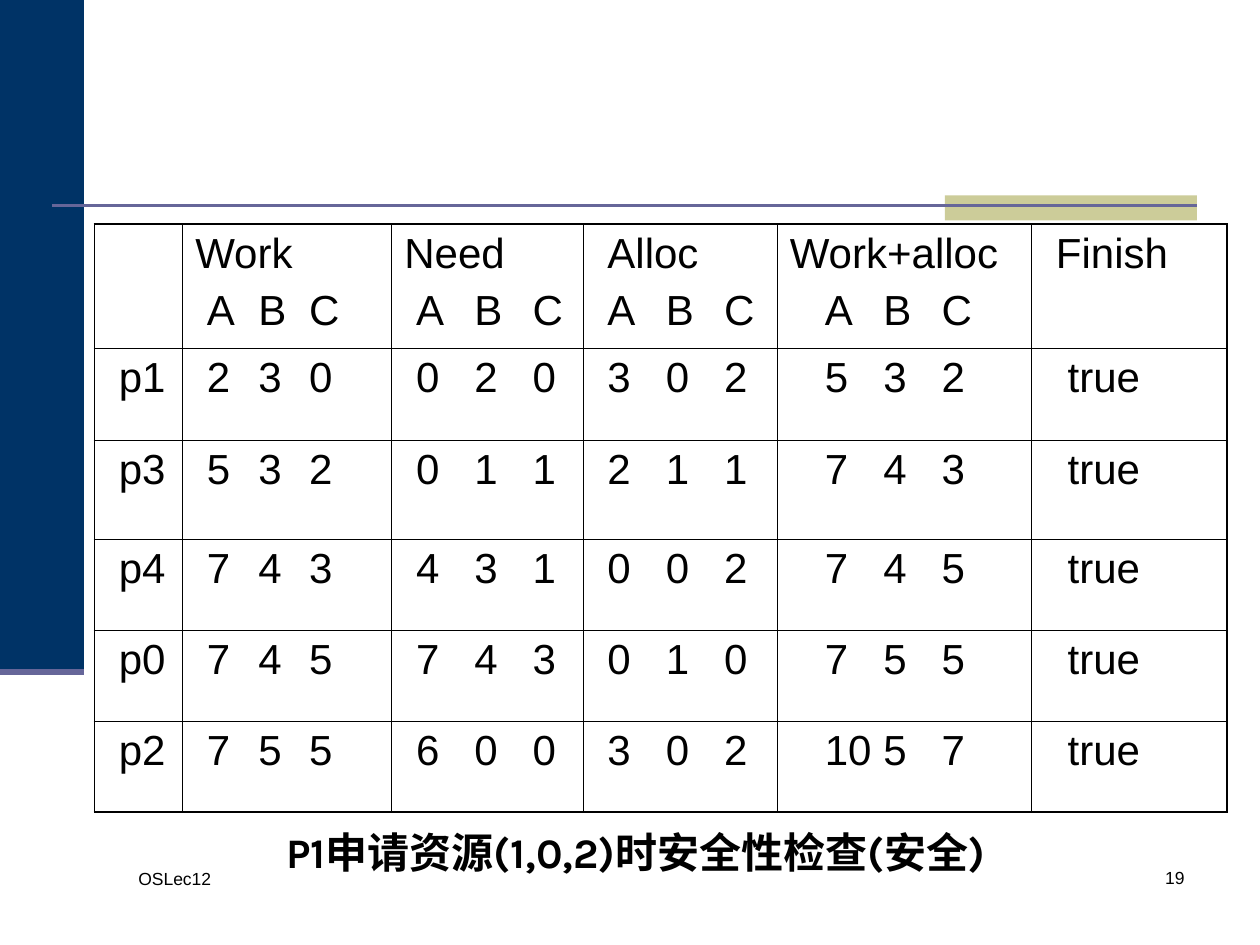
import pptx
import pptx.util
import pptx.dml.color
import pptx.enum.shapes
import pptx.enum.text
from lxml import etree
from pptx.oxml.ns import qn

Pt = pptx.util.Pt
Align = pptx.enum.text.PP_ALIGN

BLACK, NAVY, VIOLET, SAND = "000000", "003366", "666699", "CCCC99"
THIN, THICK = 0.45, 1.08
COLUMN_WIDTHS = [50.4, 119.5, 109.4, 110.9, 145.4, 111.6]
ROW_HEIGHTS = [71, 52.4, 56.8, 52, 52, 52]
HEADINGS = ["", "Work", "Need", "Alloc", "Work+alloc", "Finish"]
HEADING_INDENTS = [0, 0, 0, 6.67, 0, 6.67]
VALUE_INDENTS = [6.67, 0, 0, 0, 0, 13.34]
VALUE_STOPS = [[], [6.67, 36, 65], [6.67, 40, 73.3], [6.67, 40, 73.3], [20, 53.4, 86.7], []]
SAFETY_STEPS = [
    ("p1", "230", "020", "302", "532"),
    ("p3", "532", "011", "211", "743"),
    ("p4", "743", "431", "002", "745"),
    ("p0", "745", "743", "010", "755"),
    ("p2", "755", "600", "302", ("10", "5", "7")),
]


def rgb(hex_color):
    """Return the colour for a hex string."""
    return pptx.dml.color.RGBColor.from_string(hex_color)


def style(paragraph, size, font="Arial", bold=False):
    """Format the runs of a paragraph in black."""
    for run in paragraph.runs:
        run.font.size = Pt(size)
        run.font.name = font
        run.font.bold = bold
        run.font.color.rgb = rgb(BLACK)


def add_block(slide, left, top, width, height, color):
    """Add a plain filled rectangle."""
    block = slide.shapes.add_shape(
        pptx.enum.shapes.MSO_SHAPE.RECTANGLE, Pt(left), Pt(top), Pt(width), Pt(height))
    block.shadow.inherit = False
    block.fill.solid()
    block.fill.fore_color.rgb = rgb(color)
    block.line.fill.background()


def add_rule(slide, left, right, y, weight):
    """Add a horizontal rule without a shadow."""
    rule = slide.shapes.add_connector(
        pptx.enum.shapes.MSO_CONNECTOR.STRAIGHT, Pt(left), Pt(y), Pt(right), Pt(y))
    rule.line.color.rgb = rgb(VIOLET)
    rule.line.width = Pt(weight)
    etree.SubElement(rule._element.spPr, qn("a:effectLst"))


def add_footer(slide, left, top, width, text, align):
    """Add a small footer text."""
    footer = slide.shapes.add_textbox(Pt(left), Pt(top), Pt(width), Pt(36)).text_frame
    footer.word_wrap = True
    footer.text = text
    footer.paragraphs[0].alignment = align
    style(footer.paragraphs[0], 10)


def add_caption(slide, text):
    """Place the slide title as the caption under the table."""
    title = slide.shapes.title
    title.left, title.top, title.width, title.height = Pt(136.8), Pt(468.7), Pt(452.9), Pt(36)
    caption = title.text_frame
    caption.text = text
    caption.word_wrap = False
    caption.auto_size = pptx.enum.text.MSO_AUTO_SIZE.NONE
    caption.vertical_anchor = pptx.enum.text.MSO_ANCHOR.TOP
    caption.paragraphs[0].alignment = Align.CENTER
    style(caption.paragraphs[0], 24, "Karla", True)


def set_borders(cell, weights):
    """Draw the left, right, top and bottom borders of a cell."""
    properties = cell._tc.get_or_add_tcPr()
    for side, weight in zip("LRTB", weights):
        border = etree.SubElement(properties, qn(f"a:ln{side}"), w=str(int(Pt(weight))))
        fill = etree.SubElement(border, qn("a:solidFill"))
        etree.SubElement(fill, qn("a:srgbClr"), val=BLACK)


def write_word(paragraph, word, indent):
    """Write a word with a left indent."""
    paragraph.text = word
    paragraph._p.get_or_add_pPr().set("marL", str(int(Pt(indent))))
    style(paragraph, 24)


def write_triple(paragraph, values, stops):
    """Write the A, B and C entries at tab stops."""
    paragraph.text = "".join(f"\t{value}" for value in values)
    tabs = etree.SubElement(paragraph._p.get_or_add_pPr(), qn("a:tabLst"))
    for stop in stops:
        etree.SubElement(tabs, qn("a:tab"), pos=str(int(Pt(stop))), algn="l")
    style(paragraph, 24)


def fill_cell(cell, row, column):
    """Write the heading or the value that belongs in a cell."""
    first = cell.text_frame.paragraphs[0]
    stops = VALUE_STOPS[column]
    if row == 0:
        write_word(first, HEADINGS[column], HEADING_INDENTS[column])
        if stops:
            resources = cell.text_frame.add_paragraph()
            write_triple(resources, "ABC", stops)
            resources.space_before = Pt(6)
        return
    value = (*SAFETY_STEPS[row - 1], "true")[column]
    if stops:
        write_triple(first, value, stops)
    else:
        write_word(first, value, VALUE_INDENTS[column])


def add_safety_table(slide):
    """Add the table of the safety check."""
    rows, columns = len(ROW_HEIGHTS), len(COLUMN_WIDTHS)
    table = slide.shapes.add_table(
        rows, columns, Pt(54), Pt(128), Pt(sum(COLUMN_WIDTHS)), Pt(sum(ROW_HEIGHTS))).table
    table.first_row = table.horz_banding = False
    for column, width in zip(table.columns, COLUMN_WIDTHS):
        column.width = Pt(width)
    for row, height in zip(table.rows, ROW_HEIGHTS):
        row.height = Pt(height)
    for row in range(rows):
        for column in range(columns):
            cell = table.cell(row, column)
            outer = (column == 0, column == columns - 1, row == 0, row == rows - 1)
            set_borders(cell, [THICK if edge else THIN for edge in outer])
            cell.fill.background()
            fill_cell(cell, row, column)


def main():
    """Build the slide and save it."""
    presentation = pptx.Presentation()
    presentation.slide_width, presentation.slide_height = Pt(720), Pt(540)
    slide = presentation.slides.add_slide(presentation.slide_layouts[5])
    add_block(slide, 0, 0, 48, 384, NAVY)
    add_block(slide, 540, 111.6, 144, 14.4, SAND)
    add_rule(slide, 30, 684, 117.6, 1.5)
    add_rule(slide, 0, 48, 384, 3.5)
    add_footer(slide, 72, 492.5, 156, "OSLec12", Align.LEFT)
    add_footer(slide, 534, 492, 150, "19", Align.RIGHT)
    add_safety_table(slide)
    add_caption(slide, "P1申请资源(1,0,2)时安全性检查(安全)")
    presentation.save("out.pptx")


if __name__ == "__main__":
    main()
